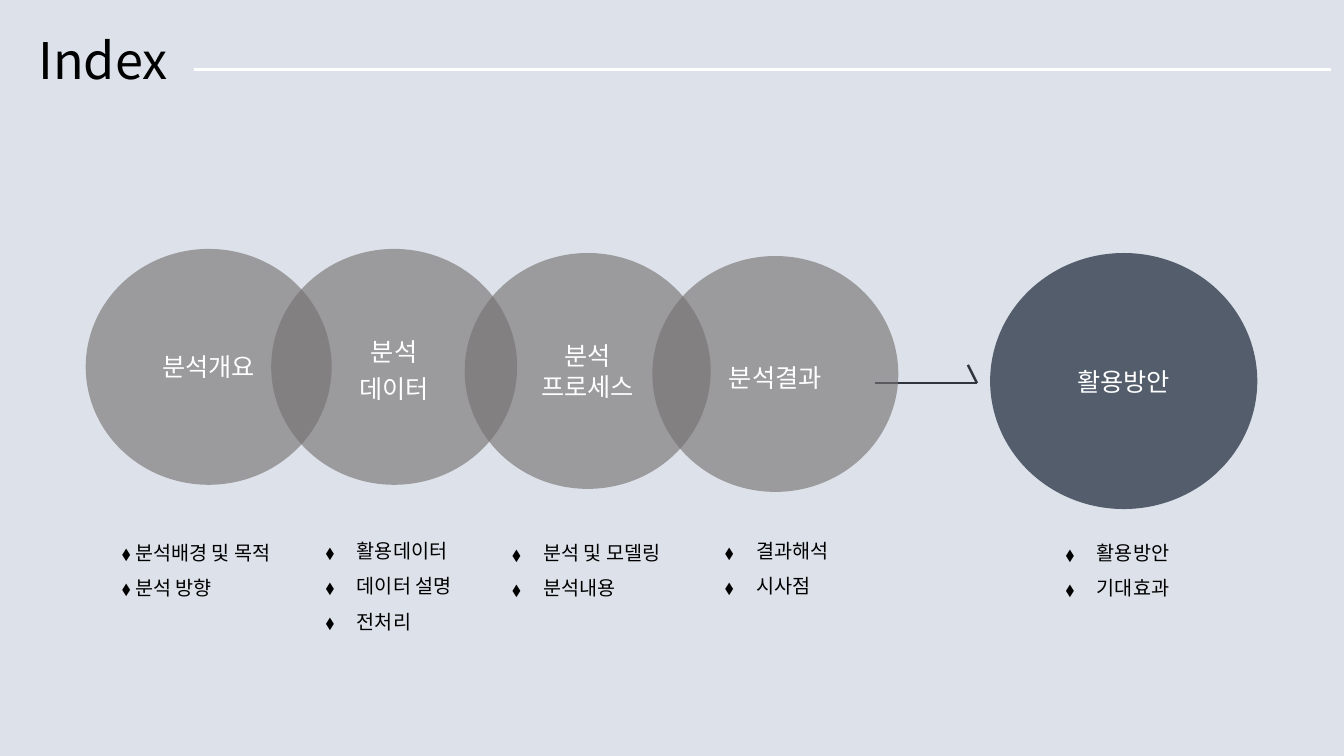
from lxml.etree import SubElement
from pptx import Presentation
from pptx.dml.color import RGBColor
from pptx.enum.shapes import MSO_CONNECTOR, MSO_SHAPE
from pptx.enum.text import MSO_ANCHOR, MSO_AUTO_SIZE, PP_ALIGN
from pptx.oxml.ns import qn
from pptx.util import Inches, Pt

WIDE, HIGH = Inches(13.33), Inches(7.5)
FONT = "Noto Sans CJK KR"
MARK = "⬧"

PALE = RGBColor(0xDD, 0xE2, 0xEA)
GRAY = RGBColor(0x76, 0x71, 0x71)
NAVY = RGBColor(0x33, 0x3F, 0x50)
DARK = RGBColor(0x31, 0x35, 0x40)
BLACK = RGBColor(0, 0, 0)
WHITE = RGBColor(0xFF, 0xFF, 0xFF)

TITLE = {"size": Pt(36), "bold": False, "name": FONT}
ITEM = {"size": Pt(14), "bold": False, "name": FONT}
LABEL = {"size": Pt(18), "bold": False, "name": FONT}

DISC = (18.3, 31.2)
GOAL = (19.88, 33.87)
CIRCLES = [
    (48.54, 33.87, DISC, GRAY, 63, ["분석결과"], 1.2),
    (34.58, 33.47, DISC, GRAY, 63, ["분석", "프로세스"], 1),
    (73.67, 33.47, GOAL, NAVY, 81, ["활용방안"], 1),
    (20.18, 32.93, DISC, GRAY, 63, ["분석", "데이터"], 1.2),
    (6.38, 32.93, DISC, GRAY, 63, ["분석개요"], 1),
]
LISTS = [
    (23.48, 69.07, ["활용데이터", "데이터 설명", "전처리"]),
    (37.36, 69.33, ["분석 및 모델링", "분석내용"]),
    (53.19, 69.07, ["결과해석", "시사점"]),
    (78.54, 69.33, ["활용방안", "기대효과"]),
]
FIRST = (8.33, 69.33, ["⬧ 분석배경 및 목적", "⬧ 분석 방향"])


def col(share):
    return round(WIDE * share / 100)


def row(share):
    return round(HIGH * share / 100)


def place(shape, left, top, width, height):
    spots = {"left": col(left), "top": row(top),
             "width": col(width), "height": row(height)}
    for key, value in spots.items():
        setattr(shape, key, value)


def bullet(para):
    props = para._p.get_or_add_pPr()
    props.set("marL", str(Inches(0.31)))
    props.set("indent", str(-Inches(0.31)))
    SubElement(props, qn("a:buFont")).set("typeface", FONT)
    SubElement(props, qn("a:buChar")).set("char", MARK)


def write(shape, lines, style, color, align=PP_ALIGN.LEFT,
          anchor=MSO_ANCHOR.TOP, space=1, marked=False):
    frame = shape.text_frame
    setup = {"word_wrap": True, "auto_size": MSO_AUTO_SIZE.NONE,
             "vertical_anchor": anchor}
    for key, value in setup.items():
        setattr(frame, key, value)
    layout = {"alignment": align, "line_spacing": space,
              "space_before": Pt(0), "space_after": Pt(0)}
    for index, line in enumerate(lines):
        para = frame.add_paragraph() if index else frame.paragraphs[0]
        if marked:
            bullet(para)
        for key, value in layout.items():
            setattr(para, key, value)
        run = para.add_run()
        run.text = line
        for key, value in style.items():
            setattr(run.font, key, value)
        run.font.color.rgb = color
        SubElement(run._r.get_or_add_rPr(), qn("a:ea")).set("typeface", FONT)


def stroke(shapes, start, end, color, width):
    line = shapes.add_connector(
        MSO_CONNECTOR.STRAIGHT,
        col(start[0]), row(start[1]), col(end[0]), row(end[1]))
    line.line.color.rgb = color
    line.line.width = Pt(width)
    SubElement(line._element.spPr, qn("a:effectLst"))


def circle(shapes, left, top, size, color, alpha, lines, space):
    disc = shapes.add_shape(MSO_SHAPE.OVAL, 0, 0, 0, 0)
    place(disc, left, top, *size)
    disc.shadow.inherit = False
    disc.fill.solid()
    disc.fill.fore_color.rgb = color
    tint = disc._element.spPr.find(".//" + qn("a:srgbClr"))
    SubElement(tint, qn("a:alpha")).set("val", str(alpha * 1000))
    disc.line.fill.background()
    write(disc, lines, LABEL, WHITE, PP_ALIGN.CENTER, MSO_ANCHOR.MIDDLE, space)


def topics(box, left, top, lines, marked=True):
    place(box, left, top, 19.5, 0.6 + 4.8 * len(lines))
    write(box, lines, ITEM, BLACK, space=1.5, marked=marked)


def main():
    deck = Presentation()
    deck.slide_width, deck.slide_height = WIDE, HIGH
    slide = deck.slides.add_slide(deck.slide_layouts.get_by_name("Comparison"))
    shapes = slide.shapes
    slide.background.fill.solid()
    slide.background.fill.fore_color.rgb = PALE

    title, *bodies = list(slide.placeholders)
    place(title, 2.1, 3.2, 12.6, 9.47)
    write(title, ["Index"], TITLE, BLACK)
    stroke(shapes, (14.4, 9.2), (99.02, 9.2), WHITE, 2.25)

    arrow = shapes.add_group_shape().shapes
    tip = (72.69, 50.67)
    for start in [(65.12, 50.67), (72.02, 48.27)]:
        stroke(arrow, start, tip, DARK, 1.75)

    for disc in CIRCLES:
        circle(shapes, *disc)
    for body, group in zip(bodies, LISTS):
        topics(body, *group)
    topics(shapes.add_textbox(0, 0, 0, 0), *FIRST, marked=False)

    deck.save("out.pptx")


if __name__ == "__main__":
    main()
